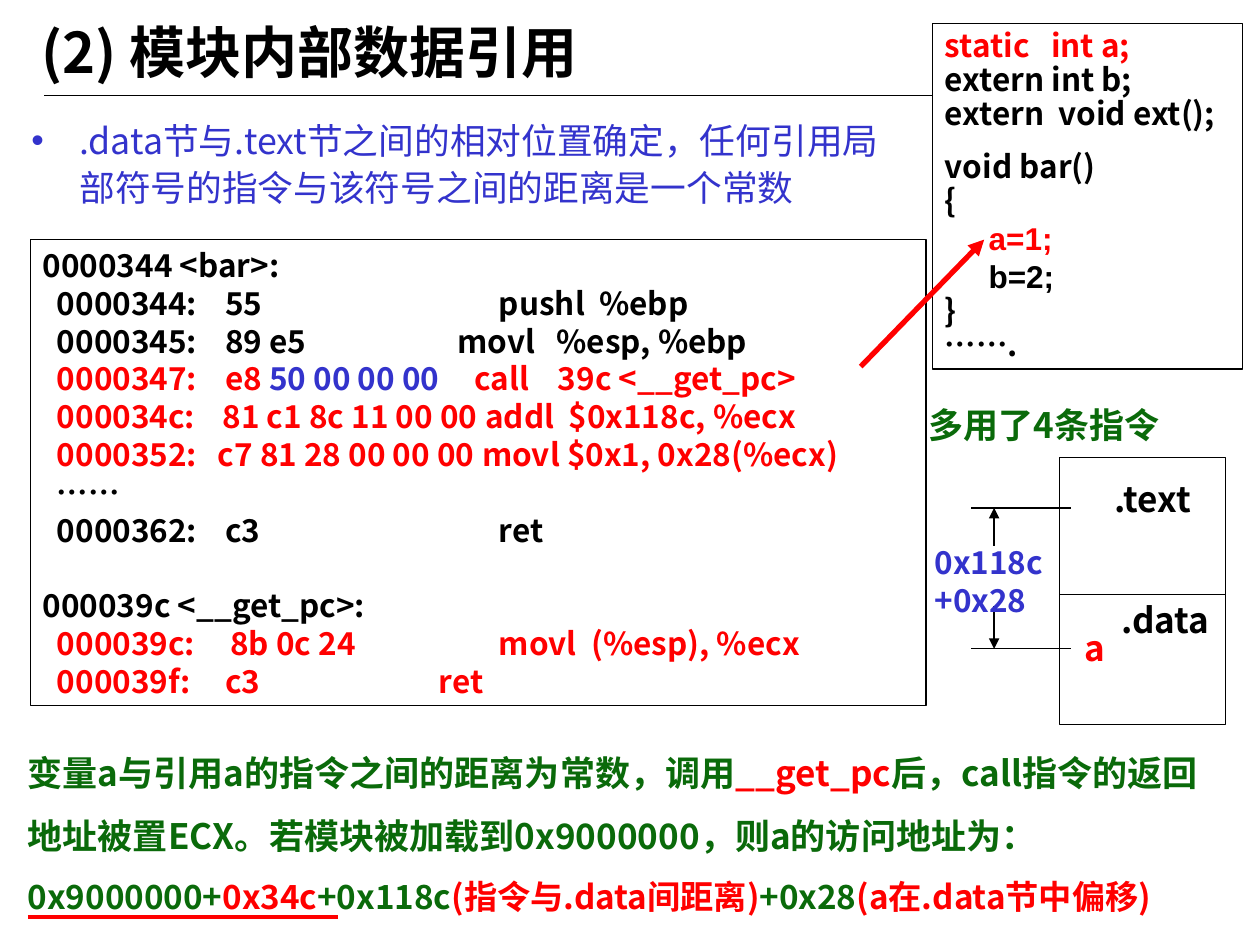
from lxml.etree import SubElement
from pptx import Presentation
from pptx.dml.color import RGBColor
from pptx.enum.shapes import MSO_CONNECTOR, MSO_SHAPE
from pptx.enum.text import MSO_ANCHOR, MSO_AUTO_SIZE, PP_ALIGN
from pptx.oxml.ns import qn
from pptx.util import Cm, Pt

COLORS = {"black": "000000", "white": "FFFFFF", "red": "FF0000",
          "blue": "3333CC", "green": "0A6A0A"}
FONT = "Noto Sans CJK SC"
LINE_HEIGHT = 1.2  # line pitch in ems at single spacing

DECLARATIONS = [("static   int a;", "red"), ("extern int b;", "black"),
                ("extern  void ext();", "black")]
BODY_START = [("void bar()", "black"), ("{", "black")]
ASSIGNMENTS = [("     a=1;", "red"), ("     b=2;", "black")]
BODY_END = [("}", "black"), ("…….", "black")]

# Each listing line: its runs, then the tab stops (cm) of bytes and instruction
LISTING = [
    ([("0000344 <bar>:", "black")], ()),
    ([("  0000344:\t55\tpushl  %ebp", "black")], (3.68, 9.2)),
    ([("  0000345:\t89 e5\tmovl   %esp, %ebp", "black")], (3.68, 8.36)),
    ([("  0000347:\te8 ", "red"), ("50 00 00 00", "blue"),
      ("\tcall    39c <__get_pc>", "red")], (3.68, 8.71)),
    ([("  000034c:\t81 c1 8c 11 00 00\taddl  $0x118c, %ecx", "red")], (3.63, 8.92)),
    ([("  0000352:\tc7 81 28 00 00 00\tmovl $0x1, 0x28(%ecx)", "red")], (3.53, 8.86)),
    ([("  ……", "black")], ()),
    ([("  0000362:\tc3\tret", "black")], (3.68, 9.2)),
    ([("000039c <__get_pc>:", "black")], ()),
    ([("  000039c:\t8b 0c 24\tmovl  (%esp), %ecx", "red")], (3.78, 9.2)),
    ([("  000039f:\tc3\tret", "red")], (3.68, 7.99)),
]

CONCLUSION = [("变量a与引用a的指令之间的距离为常数，调用", "green"), ("__get_pc", "red"),
              ("后，call指令的返回地址被置ECX。若模块被加载到0x9000000，则a的访问地址为：",
               "green")]
ADDRESS_SUM = [("0x9000000+", "green"), ("0x34c", "red"), ("+0x118c", "green"),
               ("(指令与.data间距离)", "red"), ("+0x28", "green"),
               ("(a在.data节中偏移)", "red")]


def rgb(name):
    return RGBColor.from_string(COLORS[name])


def place(sp, left, top, width, height):
    sp.left, sp.top, sp.width, sp.height = Cm(left), Cm(top), Cm(width), Cm(height)


def setup_frame(sp, wrap=True, anchor=MSO_ANCHOR.TOP, side=0.25):
    tf = sp.text_frame
    tf.word_wrap, tf.auto_size, tf.vertical_anchor = wrap, MSO_AUTO_SIZE.NONE, anchor
    tf.margin_left = tf.margin_right = Cm(side)
    tf.margin_top = tf.margin_bottom = Cm(0.13)
    return tf


def write(tf, runs, size, bold=True, spacing=1, before=0, font=FONT, tabs=()):
    """Fill the empty first paragraph, or add one, with (text, colour) runs."""
    p = tf.paragraphs[0] if not tf.text else tf.add_paragraph()
    p.alignment = PP_ALIGN.LEFT
    p.line_spacing = Pt(size * LINE_HEIGHT * spacing)
    p.space_before = Pt(before)
    if tabs:
        tab_list = SubElement(p._p.get_or_add_pPr(), qn("a:tabLst"))
        for stop in tabs:
            SubElement(tab_list, qn("a:tab"), pos=str(Cm(stop)), algn="l")
    for text, color in runs:
        r = p.add_run()
        r.text = text
        r.font.size, r.font.bold, r.font.name = Pt(size), bold, font
        r.font.color.rgb = rgb(color)
        SubElement(r._r.get_or_add_rPr(), qn("a:ea"), typeface=font)
    return p


def add_bullet(p, color, indent):
    pPr = p._p.get_or_add_pPr()
    pPr.set("marL", str(Cm(indent)))
    pPr.set("indent", str(-Cm(indent)))
    SubElement(SubElement(pPr, qn("a:buClr")), qn("a:srgbClr"), val=COLORS[color])
    SubElement(pPr, qn("a:buChar"), char="•")


def add_box(shapes, box, filled=True):
    sp = shapes.add_shape(MSO_SHAPE.RECTANGLE, *map(Cm, box))
    sp.shadow.inherit = False
    if filled:
        sp.fill.solid()
        sp.fill.fore_color.rgb = rgb("white")
    else:
        sp.fill.background()
    sp.line.color.rgb, sp.line.width = rgb("black"), Pt(0.75)
    return sp


def add_text(shapes, box, wrap=True, side=0.25):
    return setup_frame(shapes.add_textbox(*map(Cm, box)), wrap, side=side)


def add_line(shapes, start, end, color="black", width=0.75, arrow=False):
    line = shapes.add_connector(MSO_CONNECTOR.STRAIGHT, *map(Cm, start + end))
    line.line.color.rgb, line.line.width = rgb(color), Pt(width)
    if arrow:
        SubElement(line.line._get_or_add_ln(), qn("a:tailEnd"), type="triangle")
    SubElement(line._element.spPr, qn("a:effectLst"))


def add_heading(slide):
    title, body = slide.placeholders
    place(title, 0.58, 0.25, 22.86, 1.55)
    write(setup_frame(title, anchor=MSO_ANCHOR.MIDDLE),
          [("(2) 模块内部数据引用", "black")], 32)
    place(body, 0.38, 2.18, 18.14, 3.07)
    p = write(setup_frame(body),
              [(".data节与.text节之间的相对位置确定，任何引用局部符号的指令与该符号之间的距离是一个常数",
                "blue")], 20.4, bold=False, spacing=1.1)
    add_bullet(p, "blue", 0.97)
    add_line(slide.shapes, (0.89, 1.93), (24.51, 1.93))


def add_source_code(shapes):
    tf = setup_frame(add_box(shapes, (18.8, 0.48, 6.25, 6.96)))
    for run in DECLARATIONS:
        write(tf, [run], 18, spacing=0.9)
    for i, run in enumerate(BODY_START):
        write(tf, [run], 18, spacing=0.9, before=0 if i else 10.8)
    for run in ASSIGNMENTS:
        write(tf, [run], 18, font="Arial")
    for run in BODY_END:
        write(tf, [run], 18, spacing=0.9)


def add_listing(shapes):
    tf = setup_frame(add_box(shapes, (0.61, 4.83, 18.06, 9.4), filled=False))
    for runs, tabs in LISTING:
        starts_function = tf.text and runs[0][0].endswith(">:")
        write(tf, runs, 18, before=21.6 if starts_function else 0, tabs=tabs)


def add_conclusion(shapes):
    tf = add_text(shapes, (0.56, 14.6, 24.16, 4.01), side=0)
    write(tf, CONCLUSION, 20, spacing=1.5)
    write(tf, ADDRESS_SUM, 19, spacing=1.5)


def add_section_diagram(shapes):
    left, top, split, width = 21.36, 9.22, 11.99, 3.35
    add_box(shapes, (left, top, width, split - top))
    add_box(shapes, (left, split, width, 2.62))
    for text, color, x, y in [(".text", "black", 22.22, 9.5),
                              (".data", "black", 22.35, 11.94),
                              ("a", "red", 21.62, 12.5)]:
        write(add_text(shapes, (x, y, 2.31, 1.12), wrap=False), [(text, color)], 20)
    for y, arrow_start in [(10.24, 11), (13.08, 12.22)]:
        add_line(shapes, (19.58, y), (21.6, y))
        add_line(shapes, (20.04, arrow_start), (20.04, y), arrow=True)
    tf = add_text(shapes, (18.59, 10.82, 3.07, 1.78))
    for text in ("0x118c", "+0x28"):
        write(tf, [(text, "blue")], 18)


def main():
    prs = Presentation()
    prs.slide_width, prs.slide_height = Cm(25.4), Cm(19.05)
    slide = prs.slides.add_slide(prs.slide_layouts[1])
    shapes = slide.shapes
    add_heading(slide)
    add_source_code(shapes)
    add_listing(shapes)
    add_conclusion(shapes)
    add_section_diagram(shapes.add_group_shape().shapes)
    add_line(shapes, (17.35, 7.39), (19.84, 4.83), "red", 3, arrow=True)
    write(add_text(shapes, (18.47, 8, 5.31, 1.96)), [("多用了4条指令", "green")], 20)
    add_line(shapes, (0.56, 18.49), (6.81, 18.49), "red", 2.25)
    prs.save("out.pptx")


if __name__ == "__main__":
    main()
